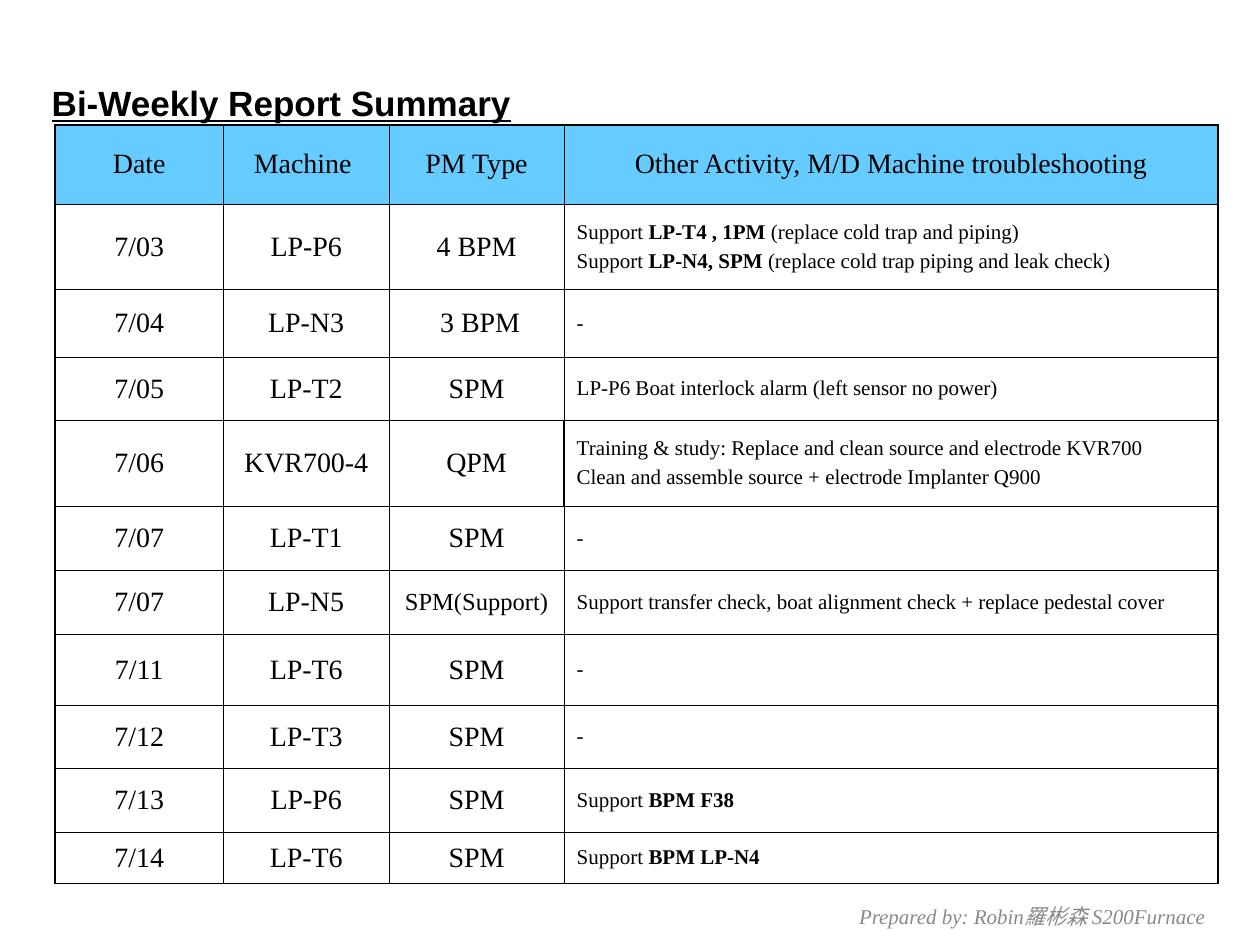
from lxml.etree import SubElement as Sub
from pptx import Presentation
from pptx.dml.color import RGBColor as RGB
from pptx.enum.text import MSO_ANCHOR as Anchor, PP_ALIGN as Align
from pptx.oxml.ns import qn
from pptx.util import Pt

BLACK = RGB(0, 0, 0)
GREY = RGB(0x89, 0x89, 0x89)
SKY = RGB(0x66, 0xCC, 0xFF)
SERIF = "Times New Roman"
THIN, THICK = 0.45, 1.08

COLS = [96.2, 94.6, 100.1, 373.7]
TALLS = [45.4, 48.6, 38.9, 36, 49.1, 36.6, 36.6, 40.6, 36, 36.6, 29.1]
HEAD = ["Date", "Machine ", "PM Type", "Other Activity, M/D Machine troubleshooting"]

# Date, machine, PM type, then one list per note line: plain and bold runs in turn
ROWS = [
    ("7/03", "LP-P6", "4 BPM",
     ["Support ", "LP-T4 , 1PM ", "(replace cold trap and piping)"],
     ["Support ", "LP-N4, SPM ", "(replace cold trap piping and leak check)"]),
    ("7/04", "LP-N3", " 3 BPM", ["-"]),
    ("7/05", "LP-T2", "SPM", ["LP-P6 Boat interlock alarm (left sensor no power)"]),
    ("7/06", "KVR700-4", "QPM",
     ["Training & study: Replace and clean source and electrode KVR700"],
     ["Clean and assemble source + electrode Implanter Q900"]),
    ("7/07", "LP-T1", "SPM", ["-"]),
    ("7/07", "LP-N5", "SPM(Support)",
     ["Support transfer check, boat alignment check + replace pedestal cover"]),
    ("7/11", "LP-T6", "SPM", ["-"]),
    ("7/12", "LP-T3", "SPM", ["-"]),
    ("7/13", "LP-P6", "SPM", ["Support ", "BPM F38"]),
    ("7/14", "LP-T6", "SPM", ["Support ", "BPM LP-N4"]),
]


def add_run(para, text, size, face=SERIF, color=BLACK, bold=False):
    run = para.add_run()
    run.text = text
    font = run.font
    font.name, font.size, font.bold = face, Pt(size), bold
    font.color.rgb = color
    return font


def add_label(slide, box, text, size, face, color, bold=False):
    frame = slide.shapes.add_textbox(*map(Pt, box)).text_frame
    frame.word_wrap = True
    return add_run(frame.paragraphs[0], text, size, face, color, bold)


def set_edges(cell, widths):
    props = cell._tc.get_or_add_tcPr()
    for spot, (side, width) in enumerate(zip("LRTB", widths)):
        line = Sub(props, qn("a:ln" + side), w=str(int(Pt(width))))
        Sub(Sub(line, qn("a:solidFill")), qn("a:srgbClr"), val=str(BLACK))
        props.insert(spot, line)


def fill_cell(cell, lines, size, align, fill=None):
    cell.vertical_anchor = Anchor.MIDDLE
    cell.margin_left = cell.margin_right = Pt(7.2)
    cell.margin_top = cell.margin_bottom = Pt(3.6)
    if fill is None:
        cell.fill.background()
    else:
        cell.fill.solid()
        cell.fill.fore_color.rgb = fill
    frame = cell.text_frame
    for num, runs in enumerate(lines):
        para = frame.add_paragraph() if num else frame.paragraphs[0]
        para.alignment = align
        if num:
            para.space_before = Pt(3)
        for part, text in enumerate(runs):
            add_run(para, text, size, bold=part % 2 == 1)


def add_log(slide):
    shape = slide.shapes.add_table(len(TALLS), len(COLS), Pt(31.5), Pt(71.3),
                                   Pt(sum(COLS)), Pt(sum(TALLS)))
    table = shape.table
    table.first_row = table.horz_banding = False
    for col, wide in zip(table.columns, COLS):
        col.width = Pt(wide)
    for row, tall in zip(table.rows, TALLS):
        row.height = Pt(tall)

    # Header
    for col, text in enumerate(HEAD):
        fill_cell(table.cell(0, col), [[text]], 16, Align.CENTER, SKY)

    # Daily entries
    for row, (date, tool, kind, *notes) in enumerate(ROWS, 1):
        for col, text in enumerate((date, tool, kind)):
            size = 14 if text == "SPM(Support)" else 16
            fill_cell(table.cell(row, col), [[text]], size, Align.CENTER)
        fill_cell(table.cell(row, 3), notes, 12, Align.LEFT)

    # Thick frame on the left, right and top, and left of the training note
    for row in range(len(TALLS)):
        for col in range(len(COLS)):
            left = col == 0 or (row, col) == (4, 3)
            right = col == 3 or (row, col) == (4, 2)
            edges = (left, right, row == 0, False)
            set_edges(table.cell(row, col), [THICK if e else THIN for e in edges])


def main():
    prs = Presentation()
    prs.slide_width, prs.slide_height = Pt(720), Pt(540)
    slide = prs.slides.add_slide(prs.slide_layouts[6])

    # Footer
    foot = add_label(slide, (483.8, 509.3, 228, 28.8), "Prepared by: Robin羅彬森 S200Furnace",
                     12, SERIF, GREY)
    foot.italic = True
    slide.shapes[0].text_frame.vertical_anchor = Anchor.MIDDLE

    # Title
    title = add_label(slide, (22.5, 43.2, 347.8, 31.7), "Bi-Weekly Report Summary",
                      20, "Arial", BLACK, True)
    title.underline = True

    add_log(slide)
    prs.save("out.pptx")


if __name__ == "__main__":
    main()
